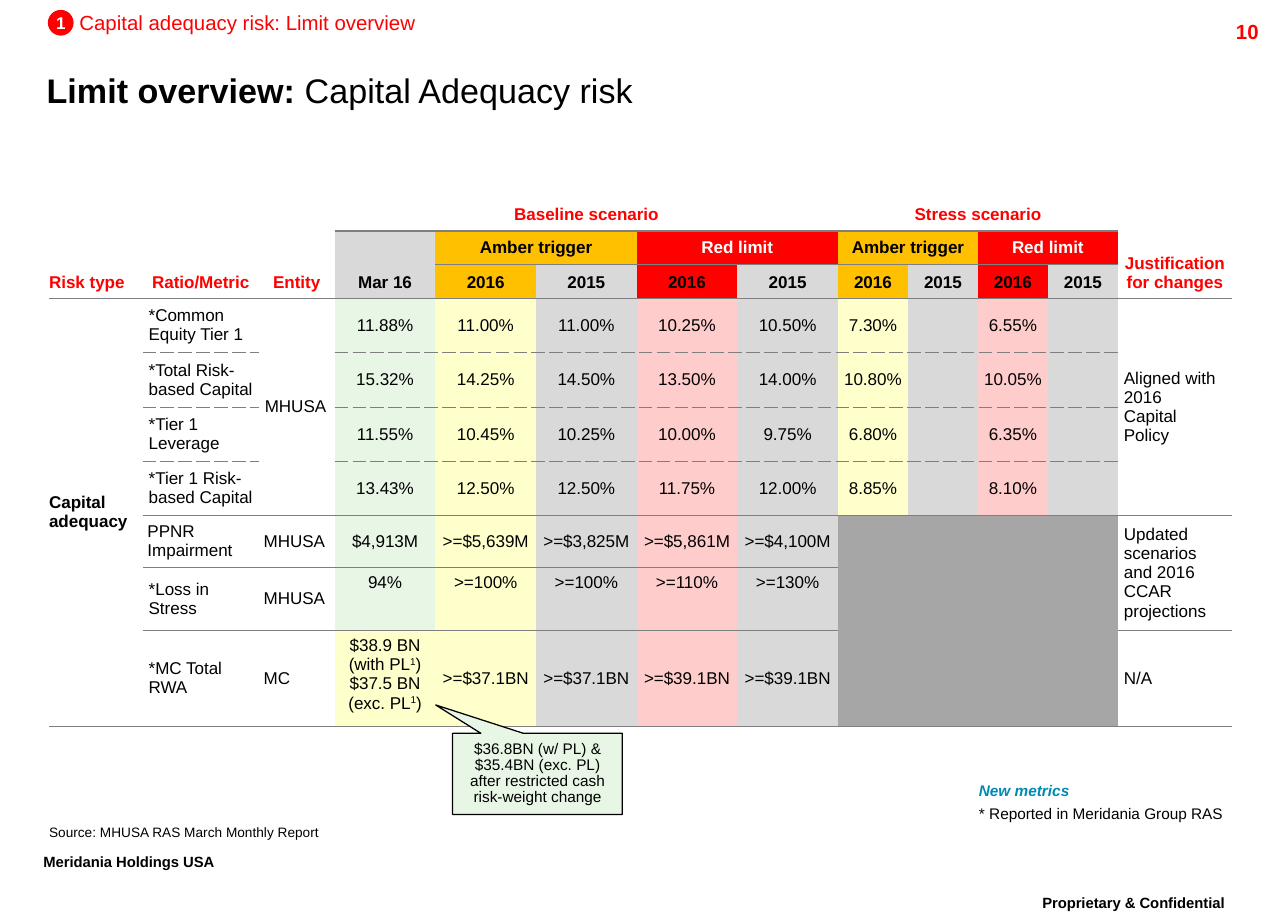
from lxml import etree
from pptx import Presentation
from pptx.dml.color import RGBColor
from pptx.enum.shapes import MSO_SHAPE as SHAPE
from pptx.enum.text import MSO_ANCHOR as ANCHOR, PP_ALIGN as ALIGN
from pptx.oxml import parse_xml
from pptx.oxml.ns import nsdecls, qn
from pptx.util import Pt

COLORS = {
    "black": "000000", "white": "FFFFFF", "red": "FF0000", "amber": "FFC000",
    "grey": "D9D9D9", "dark": "A6A6A6", "rule": "7F7F7F", "green": "E8F6E6",
    "yellow": "FFFFCC", "pink": "FFCCCC", "teal": "008AB3",
}


def add_run(paragraph, text, size, color="black", bold=False, italic=False, raised=False):
    run = paragraph.add_run()
    run.text = text
    font = run.font
    font.name, font.size, font.bold, font.italic = "Arial", Pt(size), bold, italic
    font.color.rgb = RGBColor.from_string(COLORS[color])
    if raised:
        run._r.get_or_add_rPr().set("baseline", "30000")


def set_frame(shape, inset, anchor, align, spacing=None):
    """Lay out the text frame of a shape and return its first paragraph."""
    frame = shape.text_frame
    frame.word_wrap = True
    frame.margin_left = frame.margin_right = Pt(inset[0])
    frame.margin_top = frame.margin_bottom = Pt(inset[1])
    frame.vertical_anchor = anchor
    paragraph = frame.paragraphs[0]
    paragraph.alignment = align
    if spacing:
        paragraph.line_spacing = spacing
    return paragraph


prs = Presentation()
prs.slide_width, prs.slide_height = Pt(756), Pt(540)
slide = prs.slides.add_slide(prs.slide_layouts[6])

# Header, notes and footer: box, inset, anchor, alignment, line spacing, runs
labels = [
    ((586.8, 522, 157, 25.2), (7.2, 3.6), ANCHOR.TOP, ALIGN.CENTER, 0.86,
     [("Proprietary & Confidential", 15, "black", True, False, True)]),
    ((18.4, 497.5, 160, 25.2), (7.2, 3.6), ANCHOR.TOP, ALIGN.LEFT, 0.86,
     [("Meridania Holdings USA", 15, "black", True, False, True)]),
    ((673.9, 7.9, 72, 17.3), (7.2, 3.6), ANCHOR.TOP, ALIGN.RIGHT, None,
     [("10", 12, "red", True)]),
    ((27.4, 35.3, 682.6, 34.6), (0, 0), ANCHOR.MIDDLE, ALIGN.LEFT, None,
     [("Limit overview: ", 20, "black", True), ("Capital Adequacy risk", 20)]),
    ((46.6, 6, 215, 14.4), (0, 0), ANCHOR.TOP, ALIGN.LEFT, None,
     [("Capital adequacy risk: Limit overview", 12, "red")]),
    ((28.8, 483.8, 428.4, 9.4), (0, 0), ANCHOR.BOTTOM, ALIGN.LEFT, None,
     [("Source: MHUSA RAS March Monthly Report", 8)]),
    ((574.6, 472.3, 165, 10.8), (0, 0), ANCHOR.BOTTOM, ALIGN.LEFT, None,
     [("* Reported in Meridania Group RAS", 9)]),
    ((574.6, 458.6, 80, 10.8), (0, 0), ANCHOR.TOP, ALIGN.LEFT, None,
     [("New metrics", 9, "teal", True, True)]),
]
for box, inset, anchor, align, spacing, runs in labels:
    label = slide.shapes.add_textbox(*map(Pt, box))
    paragraph = set_frame(label, inset, anchor, align, spacing)
    for run in runs:
        add_run(paragraph, *run)

badge = slide.shapes.add_shape(SHAPE.OVAL, Pt(28.1), Pt(5.8), Pt(15.1), Pt(15.1))
badge.shadow.inherit = False
badge.fill.solid()
badge.fill.fore_color.rgb = RGBColor.from_string(COLORS["red"])
badge.line.fill.background()
add_run(set_frame(badge, (0, 0), ANCHOR.MIDDLE, ALIGN.CENTER), "1", 10, "white", True)

# Limits table; "¹" marks a raised 1
rows = [
    ["", "", "", "Baseline scenario", "", "", "", "", "Stress scenario", "", "", "", ""],
    ["Risk type", "Ratio/Metric", "Entity", "Mar 16", "Amber trigger", "", "Red limit", "",
     "Amber trigger", "", "Red limit", "", "Justification for changes"],
    ["", "", "", ""] + ["2016", "2015"] * 4 + [""],
    ["Capital adequacy", "*Common Equity Tier 1", "MHUSA", "11.88%", "11.00%", "11.00%",
     "10.25%", "10.50%", "7.30%", "", "6.55%", "", "Aligned with 2016\nCapital Policy"],
    ["", "*Total Risk-based Capital", "", "15.32%", "14.25%", "14.50%", "13.50%", "14.00%",
     "10.80%", "", "10.05%", "", ""],
    ["", "*Tier 1\nLeverage", "", "11.55%", "10.45%", "10.25%", "10.00%", "9.75%",
     "6.80%", "", "6.35%", "", ""],
    ["", "*Tier 1 Risk-based Capital", "", "13.43%", "12.50%", "12.50%", "11.75%", "12.00%",
     "8.85%", "", "8.10%", "", ""],
    ["", "PPNR Impairment", "MHUSA", "$4,913M", ">=$5,639M", ">=$3,825M", ">=$5,861M",
     ">=$4,100M", "", "", "", "", "Updated scenarios and 2016 CCAR projections"],
    ["", "*Loss in Stress", "MHUSA", "94%", ">=100%", ">=100%", ">=110%", ">=130%",
     "", "", "", "", ""],
    ["", "*SC Total RWA".replace("SC", "MC"), "MC",
     "$38.9 BN (with PL¹)\n$37.5 BN (exc. PL¹)", ">=$37.1BN", ">=$37.1BN", ">=$39.1BN",
     ">=$39.1BN", "", "", "", "", "N/A"],
]
widths = [54.9, 68.2, 44.6] + [59.1] * 5 + [41.1] * 4 + [66.9]
heights = [19.7, 19.7, 19.9] + [31.9] * 4 + [30.2, 37, 56.3]
# First row, first column, last row, last column
merges = [(0, 3, 0, 7), (0, 8, 0, 11), (3, 0, 9, 0), (3, 2, 6, 2), (3, 12, 6, 12),
          (7, 8, 9, 11), (7, 12, 8, 12)]
merges += [(1, col, 2, col) for col in (0, 1, 2, 3, 12)]
merges += [(1, col, 1, col + 1) for col in (4, 6, 8, 10)]
body_fills = [None] * 3 + ["green"] + ["yellow", "grey", "pink", "grey"] * 2 + ["white"]
year_fills = [None] * 3 + ["grey"] + ["amber", "grey", "red", "grey"] * 2 + ["white"]

limits = slide.shapes.add_table(len(rows), len(widths), Pt(28.8), Pt(115.9),
                                Pt(sum(widths)), Pt(sum(heights))).table
limits.first_row = limits.horz_banding = False
style_id = limits._tbl.tblPr.find(qn("a:tableStyleId"))
style_id.text = "{2D5ABB26-0587-4C30-8999-92F81FD0307C}"  # no style, no grid
for column, width in zip(limits.columns, widths):
    column.width = Pt(width)
for row, height in zip(limits.rows, heights):
    row.height = Pt(height)
for top, left, bottom, right in merges:
    limits.cell(top, left).merge(limits.cell(bottom, right))

for r, texts in enumerate(rows):
    for c, text in enumerate(texts):
        cell = limits.cell(r, c)
        paragraph = cell.text_frame.paragraphs[0]
        if not text:
            etree.SubElement(paragraph._p, qn("a:endParaRPr")).set("sz", "1000")
        if cell.is_spanned:
            continue
        header = r < 3
        inset = 2.9 if (3 <= r <= 7 and 4 <= c <= 7) or (r == 7 and c < 8) or (r > 7 and c == 2) else 3.6
        cell.margin_top = cell.margin_bottom = cell.margin_right = Pt(inset)
        cell.margin_left = Pt(0 if c == 0 else inset)
        if r == 2 or (r == 1 and cell.span_height == 2):
            cell.vertical_anchor = ANCHOR.BOTTOM
        elif (r == 8 and 3 <= c <= 7) or (r == 9 and c == 3):
            cell.vertical_anchor = ANCHOR.TOP
        else:
            cell.vertical_anchor = ANCHOR.MIDDLE

        left_aligned = c == 0 or (not header and c in (1, 2, 12))
        paragraph.alignment = ALIGN.LEFT if left_aligned else ALIGN.CENTER
        if r == 0 or (r == 1 and c in (0, 1, 2, 12)):
            color = "red"
        else:
            color = "white" if text == "Red limit" else "black"
        for line_no, line in enumerate(text.split("\n") if text else []):
            if line_no:
                paragraph.add_line_break()
            for part in line.replace("¹", "|¹|").split("|"):
                add_run(paragraph, part.replace("¹", "1"), 10, color,
                        header or c == 0, raised=part == "¹")

        if r == 0:
            fill = "white" if c >= 3 else None
        elif header:
            fill = year_fills[c]
        elif r >= 7 and c == 8:
            fill = "dark"
        else:
            fill = "yellow" if (r, c) == (9, 3) else body_fills[c]
        if fill:
            cell.fill.solid()
            cell.fill.fore_color.rgb = RGBColor.from_string(COLORS[fill])
        if r > 0 or 3 <= c <= 11:
            dash = "dash" if 3 <= r <= 5 and c not in (0, 2, 12) else "solid"
            cell._tc.get_or_add_tcPr().insert(0, parse_xml(
                f'<a:lnB {nsdecls("a")} w="9525"><a:solidFill><a:srgbClr val="{COLORS["rule"]}"/>'
                f'</a:solidFill><a:prstDash val="{dash}"/></a:lnB>'))

callout = slide.shapes.add_shape(SHAPE.RECTANGULAR_CALLOUT, Pt(265.7), Pt(430.4), Pt(99.6), Pt(47.6))
callout.adjustments[0], callout.adjustments[1] = -0.6, -0.85
callout.shadow.inherit = False
callout.fill.solid()
callout.fill.fore_color.rgb = RGBColor.from_string(COLORS["green"])
callout.line.color.rgb = RGBColor.from_string(COLORS["black"])
callout.line.width = Pt(0.75)
add_run(set_frame(callout, (5.8, 5.8), ANCHOR.MIDDLE, ALIGN.CENTER, 0.86),
        "$36.8BN (w/ PL) & $35.4BN (exc. PL) after restricted cash risk-weight change", 9)

prs.save("out.pptx")
